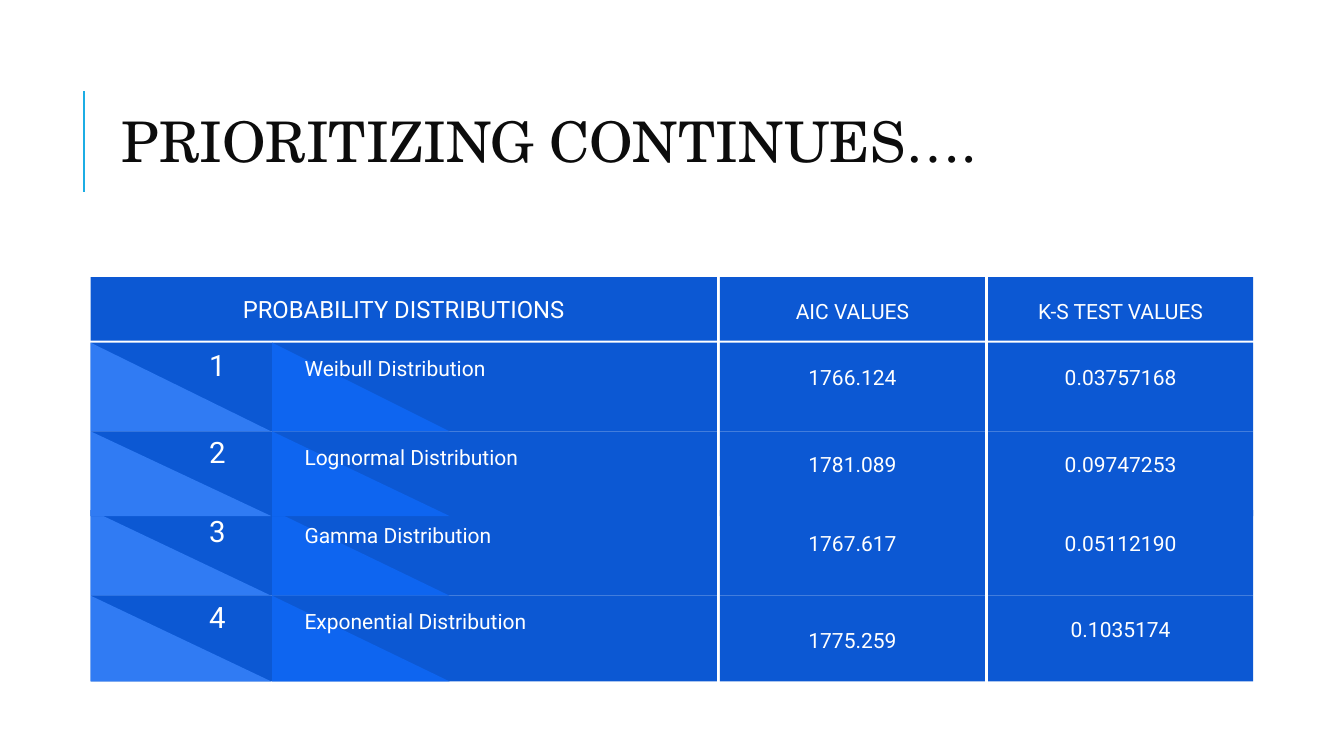
from pptx import Presentation
from pptx.dml.color import RGBColor
from pptx.enum.shapes import MSO_CONNECTOR, MSO_SHAPE
from pptx.enum.text import MSO_ANCHOR as Anchor, PP_ALIGN as Align
from pptx.oxml.ns import qn
from pptx.util import Inches, Pt
from lxml import etree

COLORS = {
    "cell": "0C58D3",
    "name_triangle": "0E65F0",
    "rank_triangle": "307BF3",
    "accent": "1CADE4",
    "title": "0C0C0C",
    "white": "FFFFFF",
}

prs = Presentation()
prs.slide_width, prs.slide_height = Inches(13.33), Inches(7.5)
slide = prs.slides.add_slide(prs.slide_layouts[6])


def add_block(left, top, width, height, color, kind=MSO_SHAPE.RECTANGLE):
    block = slide.shapes.add_shape(
        kind, Inches(left), Inches(top), Inches(width), Inches(height))
    block.shadow.inherit = False
    block.fill.solid()
    block.fill.fore_color.rgb = RGBColor.from_string(COLORS[color])
    block.line.fill.background()
    return block


def write(holder, text, size, anchor=Anchor.MIDDLE, align=Align.CENTER, spacing=1.15,
          inset=0.13, lift=0, font="Roboto", color="white"):
    """Fill a shape with one line of text; lift is extra space below it."""
    frame = holder.text_frame
    frame.word_wrap = True
    frame.vertical_anchor = anchor
    frame.margin_left = frame.margin_right = frame.margin_top = Inches(inset)
    frame.margin_bottom = Inches(inset + lift)
    frame.text = text
    line = frame.paragraphs[0]
    line.alignment = align
    line.line_spacing = spacing
    line.font.size = Pt(size)
    run_font = line.runs[0].font
    run_font.size = Pt(size)
    run_font.name = font
    run_font.color.rgb = RGBColor.from_string(COLORS[color])


# Title with its accent line
accent = slide.shapes.add_connector(
    MSO_CONNECTOR.STRAIGHT, Inches(0.83), Inches(1.9), Inches(0.83), Inches(0.9))
accent.line.color.rgb = RGBColor.from_string(COLORS["accent"])
accent.line.width = Pt(1.5)
etree.SubElement(accent._element.spPr, qn("a:effectLst"))

title = slide.shapes.add_textbox(Inches(1.11), Inches(0.63), Inches(11.31), Inches(1.64))
write(title, "PRIORITIZING CONTINUES….", 40, align=Align.LEFT, spacing=0.8,
      inset=0.1, font="TeX Gyre Schola", color="title")
title.text_frame.margin_top = title.text_frame.margin_bottom = Inches(0.05)

# Header row
NAME_LEFT, NAME_WIDTH = 0.9, 6.21
AIC_LEFT, KS_LEFT, VALUE_WIDTH = 7.14, 9.8, 2.63
headers = [
    ("PROBABILITY DISTRIBUTIONS", NAME_LEFT, NAME_WIDTH, 17, 1),
    ("AIC VALUES", AIC_LEFT, VALUE_WIDTH, 15, 1.15),
    ("K-S TEST VALUES", KS_LEFT, VALUE_WIDTH, 15, 1.15),
]
for heading, left, width, size, spacing in headers:
    write(add_block(left, 2.75, width, 0.63, "cell"), heading, size, spacing=spacing)

# Distribution rows, back to front: the second one overlaps the top of the third
VALUE_LIFT = 0.23
rows = [
    ("1", "Weibull Distribution", "1766.124", "0.03757168", 3.4, 0.88, VALUE_LIFT),
    ("3", "Gamma Distribution", "1767.617", "0.05112190", 5.06, 0.85, VALUE_LIFT),
    ("4", "Exponential Distribution", "1775.259", "0.1035174", 5.91, 0.85, 0),
    ("2", "Lognormal Distribution", "1781.089", "0.09747253", 4.28, 0.84, VALUE_LIFT),
]
for rank, name, aic, ks, top, height, aic_lift in rows:
    add_block(NAME_LEFT, top, NAME_WIDTH, height, "cell")
    add_block(2.7, top, 1.76, height, "name_triangle", MSO_SHAPE.RIGHT_TRIANGLE)
    add_block(NAME_LEFT, top, 1.79, height, "rank_triangle", MSO_SHAPE.RIGHT_TRIANGLE)

    write(add_block(AIC_LEFT, top, VALUE_WIDTH, height, "cell"), aic, 15, lift=aic_lift)
    write(add_block(KS_LEFT, top, VALUE_WIDTH, height, "cell"), ks, 15, lift=VALUE_LIFT)

    rank_box = slide.shapes.add_textbox(
        Inches(1.6), Inches(top), Inches(1.11), Inches(0.6 * height))
    write(rank_box, rank, 21, anchor=Anchor.BOTTOM, spacing=1)
    name_box = slide.shapes.add_textbox(
        Inches(2.89), Inches(top), Inches(3.89), Inches(height))
    write(name_box, name, 15, anchor=Anchor.TOP, align=Align.LEFT, spacing=1)

prs.save("out.pptx")
